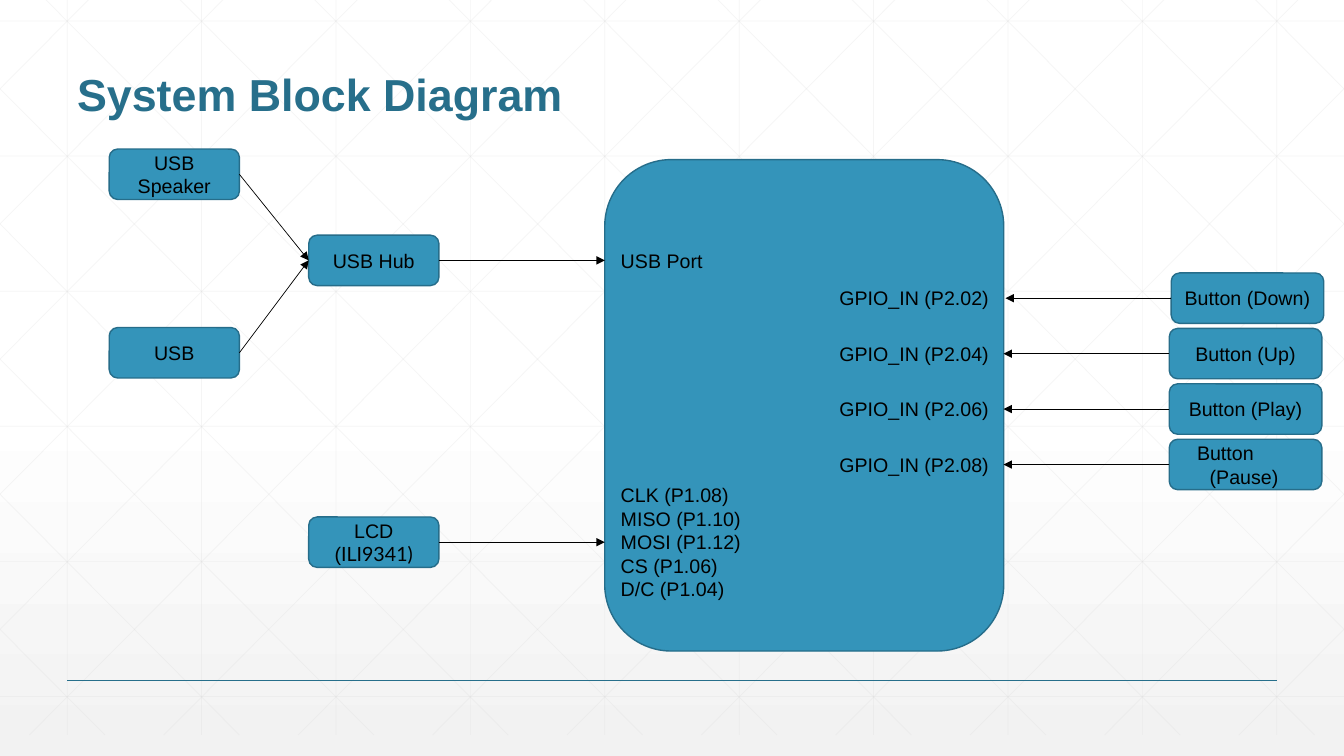
from lxml.etree import SubElement
from pptx import Presentation
from pptx.dml.color import RGBColor
from pptx.enum.shapes import MSO_CONNECTOR, MSO_SHAPE
from pptx.enum.text import MSO_ANCHOR, PP_ALIGN
from pptx.oxml.ns import qn
from pptx.util import Pt

COLORS = {
    "white": "FFFFFF",
    "mist": "F2F2F2",
    "grid": "D9D9D9",
    "teal": "276F8B",
    "block": "3494BA",
    "edge": "266D8A",
    "ink": "000000",
}
WIDTH, HEIGHT = 960, 540
LEFT, RIGHT = 1, 3  # connection sites of a block


def color(name):
    return RGBColor.from_string(COLORS[name])


class Diagram:
    """Holds the text style and the slide being drawn."""

    font, size = "Arial", 14

    def __init__(self, page):
        self.page = page

    def background(self):
        fill = self.page.background.fill
        fill.gradient()
        fill.gradient_angle = 270
        for stop, name, position in zip(fill.gradient_stops, ("white", "mist"), (0.53, 1)):
            stop.color.rgb = color(name)
            stop.position = position

    def add_text(self, frame, paragraphs, align=PP_ALIGN.LEFT, tone="ink", size=None, bold=False):
        """Each paragraph is a list of (text, font) runs."""
        for number, spans in enumerate(paragraphs):
            para = frame.add_paragraph() if number else frame.paragraphs[0]
            para.alignment = align
            for text, font in spans:
                span = para.add_run()
                span.text = text
                span.font.name = font
                span.font.size = Pt(size or self.size)
                span.font.bold = bold
                span.font.color.rgb = color(tone)

    def block(self, x, y, width, height, *spans):
        box = self.page.shapes.add_shape(
            MSO_SHAPE.ROUNDED_RECTANGLE, Pt(x), Pt(y), Pt(width), Pt(height))
        box.shadow.inherit = False
        box.fill.solid()
        box.fill.fore_color.rgb = color("block")
        box.line.color.rgb = color("edge")
        box.line.width = Pt(1)
        if spans:
            box.text_frame.vertical_anchor = MSO_ANCHOR.MIDDLE
            self.add_text(box.text_frame, [spans], PP_ALIGN.CENTER)
        return box

    def label(self, x, y, width, *lines):
        box = self.page.shapes.add_textbox(Pt(x), Pt(y), Pt(width), Pt(7.4 + 17 * len(lines)))
        box.text_frame.word_wrap = False
        self.add_text(box.text_frame, [[(line, self.font)] for line in lines])

    def title(self, text):
        box = self.page.shapes.add_textbox(Pt(48), Pt(18), Pt(864), Pt(72))
        frame = box.text_frame
        frame.word_wrap = True
        frame.vertical_anchor = MSO_ANCHOR.BOTTOM
        self.add_text(frame, [[(text, self.font)]], tone="teal", size=32, bold=True)
        frame.paragraphs[0].line_spacing = 0.9

    def line(self, x1, y1, x2, y2, tone, width, opacity=None):
        rule = self.page.shapes.add_connector(
            MSO_CONNECTOR.STRAIGHT, Pt(x1), Pt(y1), Pt(x2), Pt(y2))
        rule.line.color.rgb = color(tone)
        rule.line.width = Pt(width)
        properties = rule._element.spPr
        SubElement(properties, qn("a:effectLst"))
        if opacity:
            tint = properties.find(".//" + qn("a:srgbClr"))
            SubElement(tint, qn("a:alpha"), val=str(opacity * 1000))
        return rule

    def arrow(self, source, side, x, y, target=None):
        """Runs from a side of source to a point, or to the left side of target."""
        rule = self.line(x, y, x, y, "ink", 0.5)
        rule.begin_connect(source, side)
        if target is not None:
            rule.end_connect(target, LEFT)
        SubElement(rule._element.spPr.find(qn("a:ln")), qn("a:tailEnd"), type="triangle")

    def grid(self):
        top, bottom, step, run = -15, 525, 96, 537
        slope = (bottom - top) / run
        ends = [(48 + step * i, top, 48 + step * i, bottom) for i in range(10)]
        ends += [(0, 15 + 96.5 * i, WIDTH, 15 + 96.5 * i) for i in range(6)]
        # Diagonals cut off at the slide's sides, each with its mirror image
        for i in range(-5, 10):
            start = 18 + step * i
            x1, x2 = max(start, 0), min(start + run, WIDTH)
            y1, y2 = (top + (x - start) * slope for x in (x1, x2))
            ends += [(x1, y1, x2, y2), (WIDTH - x1, y1, WIDTH - x2, y2)]
        for points in ends:
            self.line(*points, "grid", 0.5, opacity=25)


def main():
    deck = Presentation()
    deck.slide_width, deck.slide_height = Pt(WIDTH), Pt(HEIGHT)
    diagram = Diagram(deck.slides.add_slide(deck.slide_layouts[6]))
    font = diagram.font

    # Backdrop and title
    diagram.background()
    diagram.grid()
    diagram.line(48, 486, 912, 486, "teal", 1)
    diagram.title("System Block Diagram")

    # Controller with its left-hand ports
    board_left, board_right = 432, 717
    diagram.block(board_left, 114, board_right - board_left, 351)
    diagram.label(436.3, 174, 73.5, "USB Port")
    diagram.label(436.3, 341.5, 101, "CLK (P1.08)", "MISO (P1.10)", "MOSI (P1.12)",
                  "CS (P1.06)", "D/C (P1.04)")

    # USB devices and display
    device = (93, 36)
    hub = diagram.block(220.5, 168, *device, ("USB Hub", font))
    display = diagram.block(220.5, 369.3, *device, ("LCD (", font), ("ILI9341)", "Lato"))
    diagram.arrow(hub, RIGHT, board_left, 186)
    diagram.arrow(display, RIGHT, board_left, 387.3)
    for name, y in (("USB Speaker", 106.5), ("USB", 234)):
        source = diagram.block(78, y, *device, (name, font))
        diagram.arrow(source, RIGHT, 220.5, 186, hub)

    # Buttons, each facing its input pin
    buttons = (("Down", 836.6), ("Up", 835.2), ("Play", 835.2), ("Pause", 835.2))
    for row, (name, x) in enumerate(buttons):
        y = 195 + 39.6 * row
        button = diagram.block(x, y, 109, 36, (f"Button ({name})", font))
        diagram.arrow(button, LEFT, x - 118.4, y + 18)
        diagram.label(592.5, y + 6, 122, f"GPIO_IN (P2.0{2 + 2 * row})")

    # The last button breaks over two lines with a hanging indent
    para = button.text_frame.paragraphs[0]
    para.alignment = PP_ALIGN.LEFT
    indents = para._p.get_or_add_pPr()
    indents.set("marL", str(Pt(20)))
    indents.set("indent", str(Pt(-9)))

    deck.save("out.pptx")


if __name__ == "__main__":
    main()
